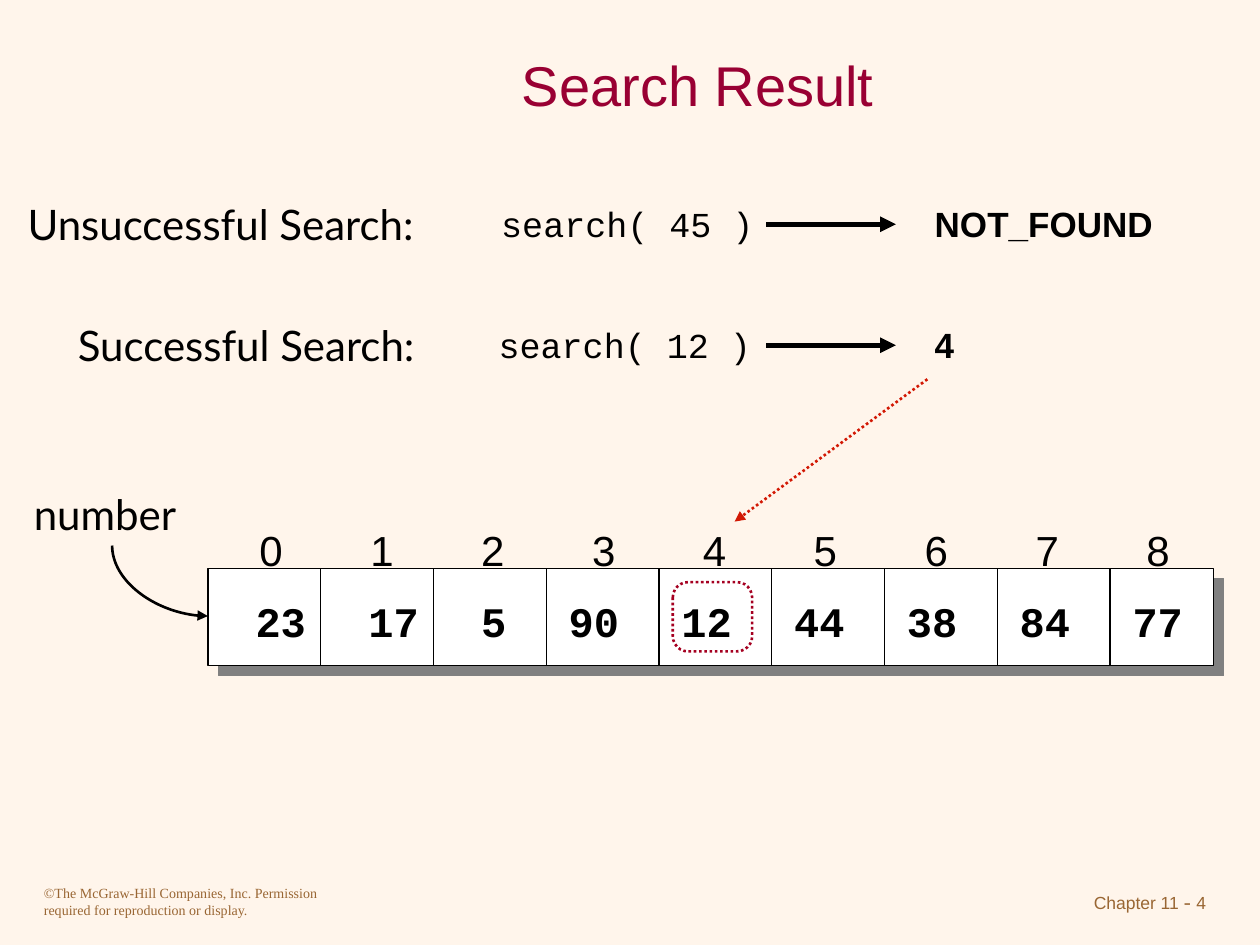
from lxml.etree import SubElement
from pptx import Presentation
from pptx.dml.color import RGBColor
from pptx.enum.dml import MSO_LINE
from pptx.enum.shapes import MSO_CONNECTOR, MSO_SHAPE
from pptx.enum.text import MSO_ANCHOR, MSO_AUTO_SIZE, PP_ALIGN
from pptx.oxml.ns import qn
from pptx.util import Inches, Pt

SLIDE_WIDTH, SLIDE_HEIGHT = Inches(10), Inches(7.5)
GRID = SLIDE_WIDTH // 10  # square grid: 10 columns by 7.5 rows
BLACK, WHITE, BROWN = "000000", "FFFFFF", "996633"
CRIMSON, DARK_RED, RED, GREY = "990033", "A50021", "D21804", "808080"

NUMBERS = [23, 17, 5, 90, 12, 44, 38, 84, 77]
ARRAY_LEFT, ARRAY_TOP, ARRAY_WIDTH, ARRAY_HEIGHT = 1.65, 4.51, 7.98, 0.77
CELL_PITCH, INDEX_PITCH = 0.895, 0.88
SEARCHES = [
    # label, label column, label width, call, call column, result, result width, row
    ("Unsuccessful Search:", 0.12, 3.48, "search( 45 )", 3.88, "NOT_FOUND", 1.93, 1.78),
    ("Successful Search:", 0.52, 3.06, "search( 12 )", 3.86, "4", 0.35, 2.74),
]


def grid(*steps):
    """Turn grid steps into slide lengths."""
    return [round(step * GRID) for step in steps]


def color(hex_code):
    return RGBColor.from_string(hex_code)


def add_span(para, text, size, font, ink, bold=False):
    span = para.add_run()
    span.text = text
    span.font.size = Pt(size)
    span.font.name = font
    span.font.bold = bold
    span.font.color.rgb = color(ink)


def add_text(page, text, left, top, width, height=0.5, size=24, font="Arial",
             ink=BLACK, bold=False, align=PP_ALIGN.LEFT, anchor=MSO_ANCHOR.TOP,
             wrap=False, margin_top=0.05):
    """Add a text box and return its paragraph, so that more spans can follow."""
    box = page.shapes.add_textbox(*grid(left, top, width, height))
    frame = box.text_frame
    frame.word_wrap = wrap
    frame.auto_size = MSO_AUTO_SIZE.NONE if wrap else MSO_AUTO_SIZE.SHAPE_TO_FIT_TEXT
    frame.vertical_anchor = anchor
    frame.margin_top = Inches(margin_top)
    para = frame.paragraphs[0]
    para.alignment = align
    add_span(para, text, size, font, ink, bold)
    return para


def add_line(page, start, end, ink=BLACK, weight=0.75, dash=None, arrow=False,
             kind=MSO_CONNECTOR.STRAIGHT):
    line = page.shapes.add_connector(kind, *grid(*start, *end))
    line.line.color.rgb = color(ink)
    line.line.width = Pt(weight)
    if dash:
        line.line.dash_style = dash
    if arrow:
        SubElement(line.line._get_or_add_ln(), qn("a:tailEnd"), type="triangle")
    SubElement(line._element.spPr, qn("a:effectLst"))
    return line


def add_box(page, kind, left, top, width, height, ink, weight, fill=None):
    box = page.shapes.add_shape(kind, *grid(left, top, width, height))
    box.shadow.inherit = False
    if fill:
        box.fill.solid()
        box.fill.fore_color.rgb = color(fill)
    else:
        box.fill.background()
    box.line.color.rgb = color(ink)
    box.line.width = Pt(weight)
    return box


def add_hard_shadow(box, distance):
    """Cast a sharp grey shadow to the lower right."""
    effects = box._element.spPr.find(qn("a:effectLst"))
    shadow = SubElement(effects, qn("a:outerShdw"), blurRad="0",
                        dist=str(Pt(distance)), dir=str(45 * 60000),
                        algn="ctr", rotWithShape="0")
    SubElement(shadow, qn("a:srgbClr"), val=GREY)


def add_array_pointer(page):
    """Curve from the array's name down and right to its first cell."""
    curve = add_line(page, (1.55, 4.23), (0.99, 4.99), weight=1.5, arrow=True,
                     kind=MSO_CONNECTOR.CURVE)
    properties = curve._element.spPr
    properties.find(qn("a:xfrm")).set("rot", str(270 * 60000))
    properties.find(qn("a:prstGeom")).set("prst", "curvedConnector2")


def add_array(page):
    frame = add_box(page, MSO_SHAPE.RECTANGLE, ARRAY_LEFT, ARRAY_TOP,
                    ARRAY_WIDTH, ARRAY_HEIGHT, BLACK, 0.75, fill=WHITE)
    add_hard_shadow(frame, 8.5)
    for index, number in enumerate(NUMBERS):
        cell_left = ARRAY_LEFT + index * CELL_PITCH
        if index:
            add_line(page, (cell_left, ARRAY_TOP),
                     (cell_left, ARRAY_TOP + ARRAY_HEIGHT))
        indent = 0.28 if index < 3 else 0.08
        add_text(page, str(number), cell_left + indent, 4.68,
                 0.2 + 0.2 * len(str(number)), font="Courier New", bold=True)
        add_text(page, str(index), 1.96 + index * INDEX_PITCH, 4.11, 0.38)


def add_search(page, label, label_left, label_width, call, call_left,
               result, result_width, row):
    add_text(page, label, label_left, row - 0.25, label_width, font="Lato")
    add_text(page, call, call_left, row - 0.22, 2.24, 0.44, size=20, font="Courier New")
    add_line(page, (6.08, row), (7.11, row), weight=3, arrow=True)
    add_text(page, result, 7.32, row - 0.22, result_width, 0.44, size=20, bold=True)


def add_footer(page):
    add_text(page, "©The McGraw-Hill Companies, Inc. Permission required for "
             "reproduction or display.", 0.25, 6.83, 2.5, size=8,
             font="Times New Roman", ink=BROWN, wrap=True, margin_top=0.19)
    para = add_text(page, "Chapter 11", 7.5, 6.83, 2.17, size=10, ink=BROWN,
                    align=PP_ALIGN.RIGHT, wrap=True, margin_top=0.22)
    add_span(para, " - ", 12, "Times New Roman", BROWN)
    add_span(para, "4", 10, "Arial", BROWN)


def main():
    deck = Presentation()
    deck.slide_width, deck.slide_height = SLIDE_WIDTH, SLIDE_HEIGHT
    page = deck.slides.add_slide(deck.slide_layouts[6])
    page.background.fill.solid()
    page.background.fill.fore_color.rgb = color("FFF5EB")

    add_footer(page)
    add_text(page, "Search Result", 1.5, 0.25, 8.08, 0.83, size=32, ink=CRIMSON,
             align=PP_ALIGN.CENTER, anchor=MSO_ANCHOR.MIDDLE, wrap=True)
    add_text(page, "number", 0.17, 3.83, 1.45, font="Lato")
    add_array_pointer(page)
    add_array(page)
    for search in SEARCHES:
        add_search(page, *search)

    found = add_box(page, MSO_SHAPE.ROUNDED_RECTANGLE, 5.34, 4.62, 0.63, 0.55,
                    DARK_RED, 1.5)
    found.adjustments[0] = 0.22
    found.line.dash_style = MSO_LINE.ROUND_DOT
    add_line(page, (7.36, 3.01), (5.83, 4.14), ink=RED, weight=1.5,
             dash=MSO_LINE.ROUND_DOT, arrow=True)
    deck.save("out.pptx")


if __name__ == "__main__":
    main()
